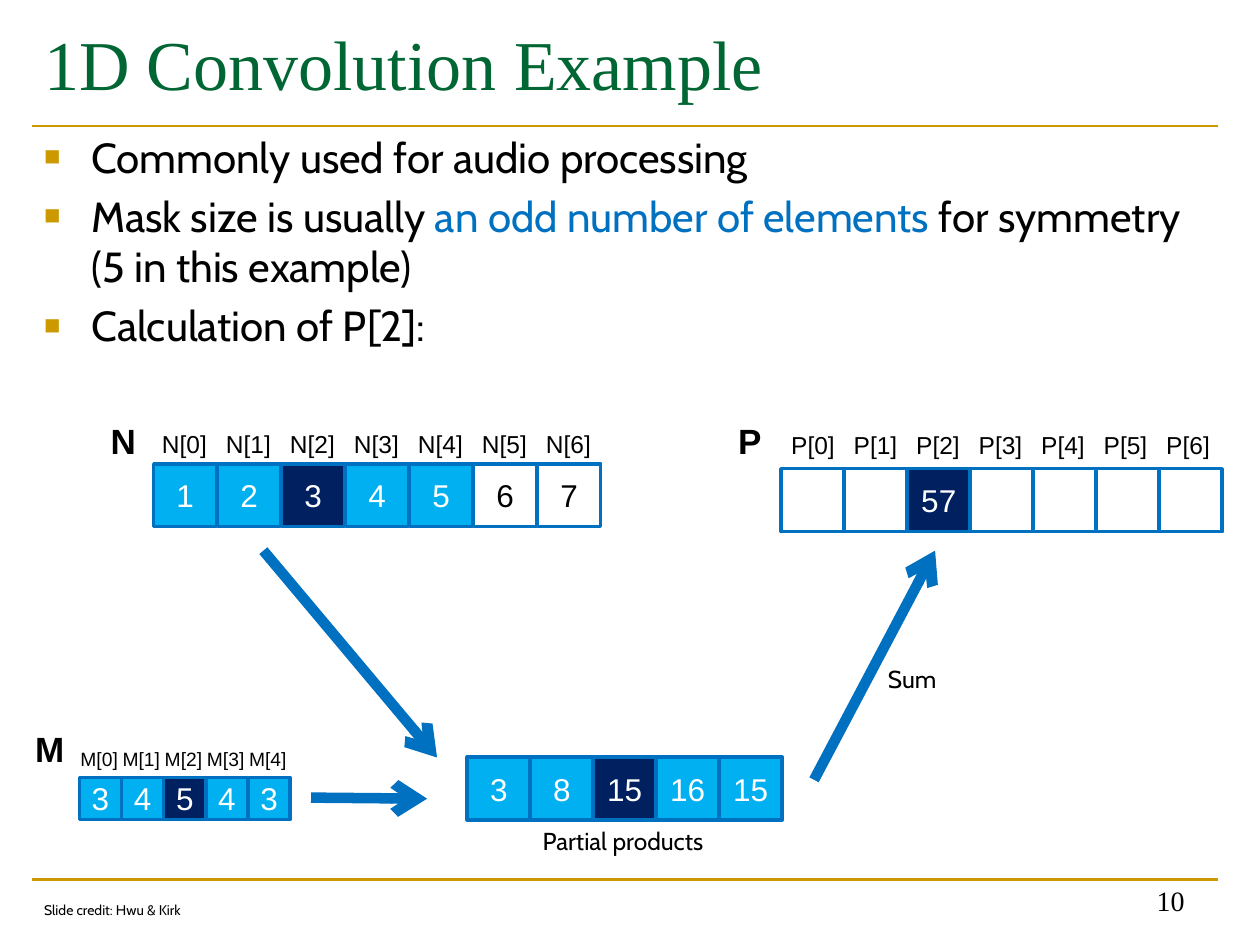
from lxml.etree import SubElement
from pptx import Presentation
from pptx.dml.color import RGBColor
from pptx.enum.shapes import MSO_CONNECTOR, MSO_SHAPE
from pptx.enum.text import MSO_ANCHOR, PP_ALIGN
from pptx.oxml.ns import qn
from pptx.util import Cm, Pt

GREEN = RGBColor(0x00, 0x66, 0x33)
GOLD = RGBColor(0xCC, 0x99, 0x00)
BLUE = RGBColor(0x00, 0x70, 0xC0)
LIGHT = RGBColor(0x00, 0xB0, 0xF0)
NAVY = RGBColor(0x00, 0x20, 0x60)
BLACK = RGBColor(0x00, 0x00, 0x00)
WHITE = RGBColor(0xFF, 0xFF, 0xFF)

prs = Presentation()
prs.slide_width, prs.slide_height = Cm(25.4), Cm(19.05)
s = prs.slides.add_slide(prs.slide_layouts[6])


def add_run(p, text, color=BLACK, **font):
    r = p.add_run()
    r.text = text
    for key, value in font.items():
        setattr(r.font, key, value)
    r.font.color.rgb = color


def add_text(box, text, color=BLACK, align=PP_ALIGN.LEFT,
             anchor=MSO_ANCHOR.TOP, wrap=False, **font):
    """Add a one-line text box; box is left, top, width, height in cm."""
    tf = s.shapes.add_textbox(*map(Cm, box)).text_frame
    tf.word_wrap = wrap
    tf.vertical_anchor = anchor
    p = tf.paragraphs[0]
    p.alignment = align
    add_run(p, text, color, **font)


# Rules, title and page number
lines = [((0.64, y, 24.56, y), GOLD, 1.5, False) for y in (2.54, 17.73)]
lines += [
    ((6.27, 16.08, 8.61, 16.1), BLUE, 6, True),
    ((16.41, 15.72, 18.85, 11.1), BLUE, 6, True),
    ((5.31, 11.1, 8.81, 15.27), BLUE, 6, True),
]
for ends, color, width, arrow in lines:
    c = s.shapes.add_connector(MSO_CONNECTOR.STRAIGHT, *map(Cm, ends))
    c.line.color.rgb = color
    c.line.width = Pt(width)
    if arrow:
        SubElement(c.line._get_or_add_ln(), qn("a:tailEnd"), type="arrow")
    SubElement(c._element.spPr, qn("a:effectLst"))

add_text((0.64, 0, 23.93, 2.51), "1D Convolution Example", GREEN,
         anchor=MSO_ANCHOR.MIDDLE, wrap=True, name="Times New Roman", size=Pt(40))
add_text((18.21, 17.35, 5.92, 1.27), "10", align=PP_ALIGN.RIGHT,
         anchor=MSO_ANCHOR.BOTTOM, wrap=True, name="Times New Roman", size=Pt(16))

# Bullets
bullets = [
    [("Commonly used for audio processing", BLACK)],
    [("Mask size is usually ", BLACK),
     ("an odd number of elements ", BLUE),
     ("for symmetry (5 in this example)", BLACK)],
    [("Calculation of P[2]:", BLACK)],
]
tf = s.shapes.add_textbox(Cm(0.64), Cm(2.52), Cm(23.93), Cm(15.19)).text_frame
tf.word_wrap = True
for i, parts in enumerate(bullets):
    p = tf.paragraphs[0] if i == 0 else tf.add_paragraph()
    pPr = p._p.get_or_add_pPr()
    pPr.set("marL", str(Cm(0.95)))
    pPr.set("indent", str(-Cm(0.95)))
    SubElement(SubElement(pPr, qn("a:buClr")), qn("a:srgbClr"), val=str(GOLD))
    SubElement(pPr, qn("a:buSzPct"), val="65000")
    SubElement(pPr, qn("a:buFont"), typeface="Arial")
    SubElement(pPr, qn("a:buChar"), char="■")
    p.space_before = Pt(5 if i else 0)
    for text, color in parts:
        add_run(p, text, color, name="Cabin", size=Pt(24))

# Arrays: values, left, top, cell size, pitch
arrays = [
    (["3", "8", "15", "16", "15"], 9.42, 15.26, 1.27, 1.27),
    (["1", "2", "3", "4", "5", "6", "7"], 3.1, 9.35, 1.27, 1.29),
    (["3", "4", "5", "4", "3"], 1.6, 15.67, 0.85, 0.85),
    (["", "", "57", "", "", "", ""], 15.75, 9.45, 1.27, 1.27),
]
for values, left, top, size, pitch in arrays:
    for i, value in enumerate(values):
        sp = s.shapes.add_shape(MSO_SHAPE.RECTANGLE, Cm(left + i * pitch),
                                Cm(top), Cm(size), Cm(size))
        sp.shadow.inherit = False
        filled = value and i < 5
        sp.fill.solid()
        sp.fill.fore_color.rgb = (NAVY if i == 2 else LIGHT) if filled else WHITE
        sp.line.color.rgb = BLUE
        sp.line.width = Pt(2)
        if value:
            tf = sp.text_frame
            tf.word_wrap = False
            tf.margin_left = tf.margin_right = tf.margin_top = tf.margin_bottom = 0
            tf.vertical_anchor = MSO_ANCHOR.MIDDLE
            p = tf.paragraphs[0]
            p.alignment = PP_ALIGN.CENTER
            add_run(p, value, WHITE if filled else BLACK, name="Arial", size=Pt(18))

# Array names and index labels: name, name position, count, first centre, pitch, label top, size
labels = [
    ("N", 1.98, 8.33, 7, 3.72, 1.29, 8.53, 14),
    ("M", 0.46, 14.55, 5, 2.0, 0.85, 14.94, 11),
    ("P", 14.63, 8.33, 7, 16.39, 1.26, 8.54, 14),
]
for name, left, top, count, centre, pitch, label_top, size in labels:
    add_text((left, top, 1.2, 1.12), name, name="Arial", size=Pt(20), bold=True)
    for i in range(count):
        add_text((centre + i * pitch - 0.75, label_top, 1.5, 0.86), f"{name}[{i}]",
                 align=PP_ALIGN.CENTER, name="Arial", size=Pt(size))

# Captions and credit, with room to stay on one line
for box, text, size in [
    ((10.69, 16.53, 4.2, 0.86), "Partial products", 14),
    ((17.65, 13.26, 1.8, 0.86), "Sum", 14),
    ((0.64, 18.04, 3.8, 0.61), "Slide credit: Hwu & Kirk", 8),
]:
    add_text(box, text, name="Cabin", size=Pt(size))

prs.save("out.pptx")
